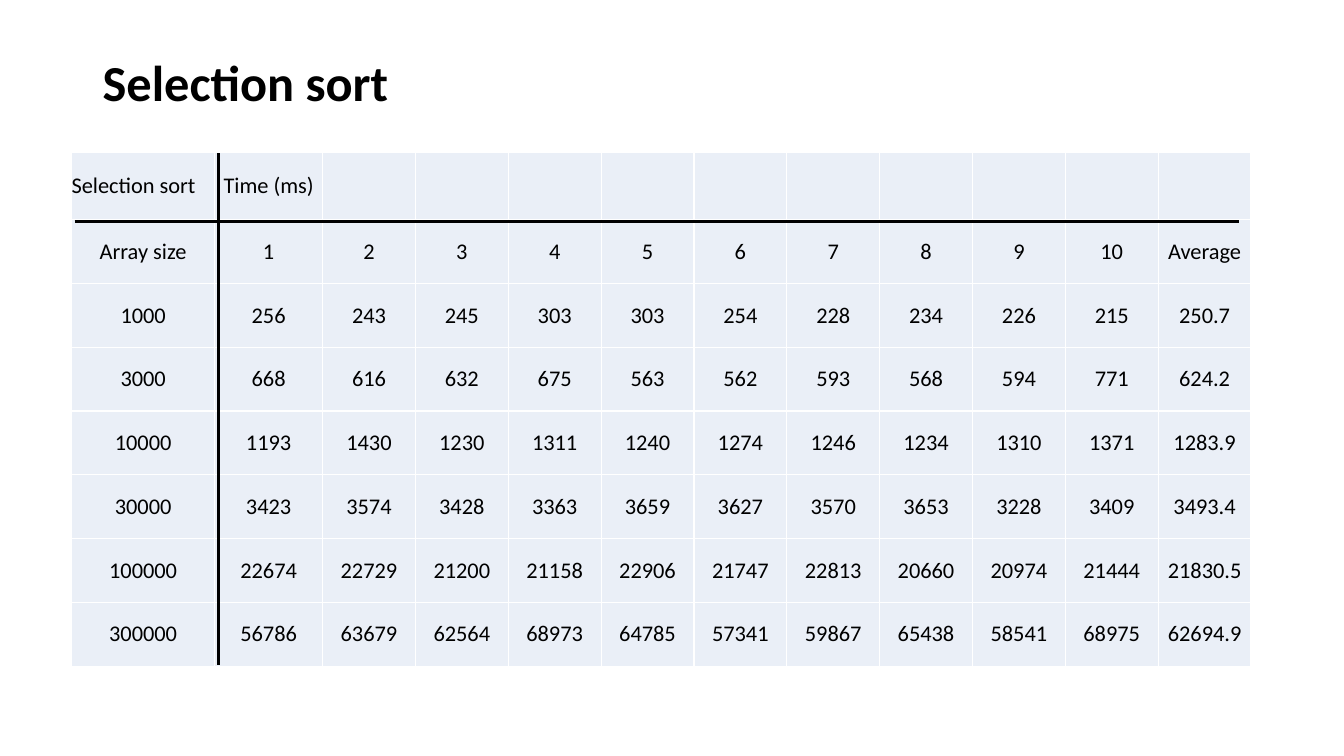
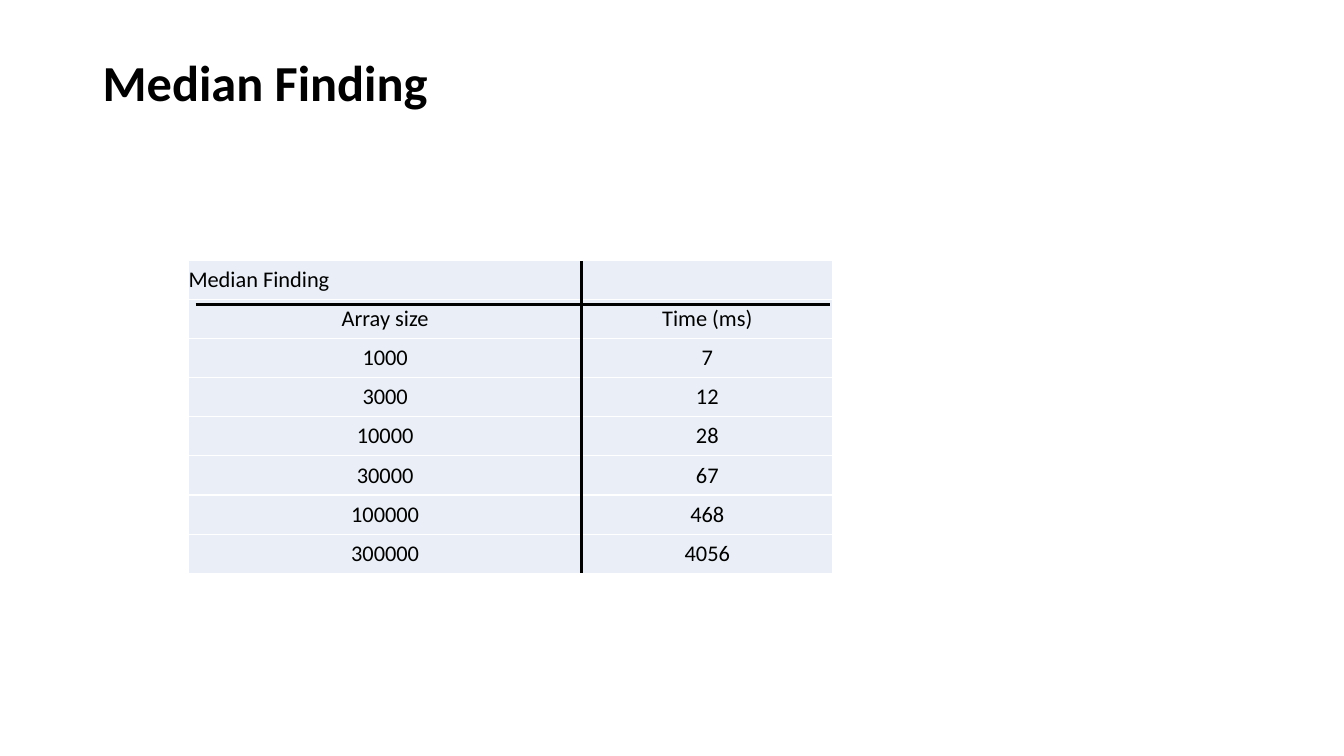
from dataclasses import dataclass

from lxml.etree import SubElement
from pptx import Presentation
from pptx.dml.color import RGBColor
from pptx.enum.shapes import MSO_CONNECTOR as Connector
from pptx.enum.text import MSO_ANCHOR as Anchor, PP_ALIGN as Align
from pptx.oxml import parse_xml
from pptx.oxml.ns import nsdecls, qn
from pptx.util import Inches, Pt

BLACK = RGBColor(0x00, 0x00, 0x00)
WHITE = RGBColor(0xFF, 0xFF, 0xFF)
PALE_BLUE = RGBColor(0xEA, 0xEF, 0xF7)
FONT = "Calibri"
SLIDE_WIDTH, SLIDE_HEIGHT = 13.33, 7.5
BORDER_WIDTH, RULE_WIDTH = Pt(1), Pt(2.25)

ARRAY_SIZES = (1000, 3000, 10000, 30000, 100000, 300000)
SELECTION_TIMES = (
    (256, 243, 245, 303, 303, 254, 228, 234, 226, 215, 250.7),
    (668, 616, 632, 675, 563, 562, 593, 568, 594, 771, 624.2),
    (1193, 1430, 1230, 1311, 1240, 1274, 1246, 1234, 1310, 1371, 1283.9),
    (3423, 3574, 3428, 3363, 3659, 3627, 3570, 3653, 3228, 3409, 3493.4),
    (22674, 22729, 21200, 21158, 22906, 21747, 22813, 20660, 20974, 21444, 21830.5),
    (56786, 63679, 62564, 68973, 64785, 57341, 59867, 65438, 58541, 68975, 62694.9),
)
MEDIAN_TIMES = ((7,), (12,), (28,), (67,), (468,), (4056,))


@dataclass
class Box:
    left: float
    top: float
    width: float
    height: float


@dataclass
class Rules:
    """Offsets of the two heavy lines from the edges of the table."""
    across_left: float
    across_right: float
    across_top: float
    down_left: float


TITLE_BOX = Box(0.92, 0.4, 11.5, 1.45)


def add_run(para, text, size, bold=False):
    span = para.add_run()
    span.text = text
    span.font.name = FONT
    span.font.size = Pt(size)
    span.font.bold = bold
    span.font.color.rgb = BLACK


def add_title(page, text, box):
    title = page.shapes.add_textbox(Inches(box.left), Inches(box.top),
                                    Inches(box.width), Inches(box.height))
    frame = title.text_frame
    frame.word_wrap = True
    frame.vertical_anchor = Anchor.TOP
    frame.margin_top = Inches(0.18)
    para = frame.paragraphs[0]
    para.line_spacing = 0.9
    add_run(para, text, 36, bold=True)


def add_borders(cell):
    properties = cell._tc.get_or_add_tcPr()
    for position, side in enumerate("LRTB"):
        properties.insert(position, parse_xml(
            f'<a:ln{side} {nsdecls("a")} w="{BORDER_WIDTH}"><a:solidFill>'
            f'<a:srgbClr val="{WHITE}"/></a:solidFill></a:ln{side}>'))


def fill_cell(cell, text, align):
    cell.margin_left = cell.margin_right = cell.margin_top = cell.margin_bottom = 0
    cell.vertical_anchor = Anchor.MIDDLE
    cell.fill.solid()
    cell.fill.fore_color.rgb = PALE_BLUE
    add_borders(cell)
    para = cell.text_frame.paragraphs[0]
    para.alignment = align
    if text:
        add_run(para, text, 16)


def add_times_table(page, rows, box, lead_columns, header_height):
    """Place a table whose columns after lead_columns share the remaining width."""
    row_count, column_count = len(rows), len(rows[0])
    table = page.shapes.add_table(row_count, column_count, Inches(box.left), Inches(box.top),
                                  Inches(box.width), Inches(box.height)).table
    table.first_row = table.horz_banding = False

    other_columns = column_count - len(lead_columns)
    spare = box.width - sum(lead_columns)
    widths = list(lead_columns) + [spare / max(other_columns, 1)] * other_columns
    for column, width in zip(table.columns, widths):
        column.width = Inches(width)

    body_height = (box.height - header_height) / (row_count - 1)
    for index, row in enumerate(table.rows):
        row.height = Inches(body_height if index else header_height)

    for y, values in enumerate(rows):
        for x, value in enumerate(values):
            align = Align.LEFT if x == y == 0 else Align.CENTER
            fill_cell(table.cell(y, x), str(value), align)


def add_rule(page, x1, y1, x2, y2):
    rule = page.shapes.add_connector(Connector.STRAIGHT, Inches(x1), Inches(y1),
                                     Inches(x2), Inches(y2))
    rule.line.color.rgb = BLACK
    rule.line.width = RULE_WIDTH
    SubElement(rule._element.spPr, qn("a:effectLst"))


def add_rules(page, box, rules):
    x = box.left + rules.down_left
    y = box.top + rules.across_top
    add_rule(page, x, box.top + 0.01, x, box.top + box.height - 0.01)
    add_rule(page, box.left + rules.across_left, y,
             box.left + box.width - rules.across_right, y)


def add_times_slide(deck, title, header, times, box, lead_columns, header_height, rules):
    page = deck.slides.add_slide(deck.slide_layouts[6])
    add_title(page, title, TITLE_BOX)
    body = [(size, *values) for size, values in zip(ARRAY_SIZES, times)]
    add_times_table(page, [*header, *body], box, lead_columns, header_height)
    add_rules(page, box, rules)


def main():
    deck = Presentation()
    deck.slide_width, deck.slide_height = Inches(SLIDE_WIDTH), Inches(SLIDE_HEIGHT)
    add_times_slide(
        deck, "Selection sort",
        [("Selection sort", "Time (ms)", *[""] * 10),
         ("Array size", *range(1, 11), "Average")],
        SELECTION_TIMES, Box(0.71, 1.51, 11.7, 5.1), (1.42, 1.07), 0.67,
        Rules(across_left=0.03, across_right=0.12, across_top=0.69, down_left=1.46))
    add_times_slide(
        deck, "Median Finding",
        [("Median Finding", ""), ("Array size", "Time (ms)")],
        MEDIAN_TIMES, Box(1.87, 2.58, 6.39, 3.11), (3.9, 2.49), 0.39,
        Rules(across_left=0.07, across_right=0.03, across_top=0.44, down_left=3.9))
    deck.save("out.pptx")


if __name__ == "__main__":
    main()
